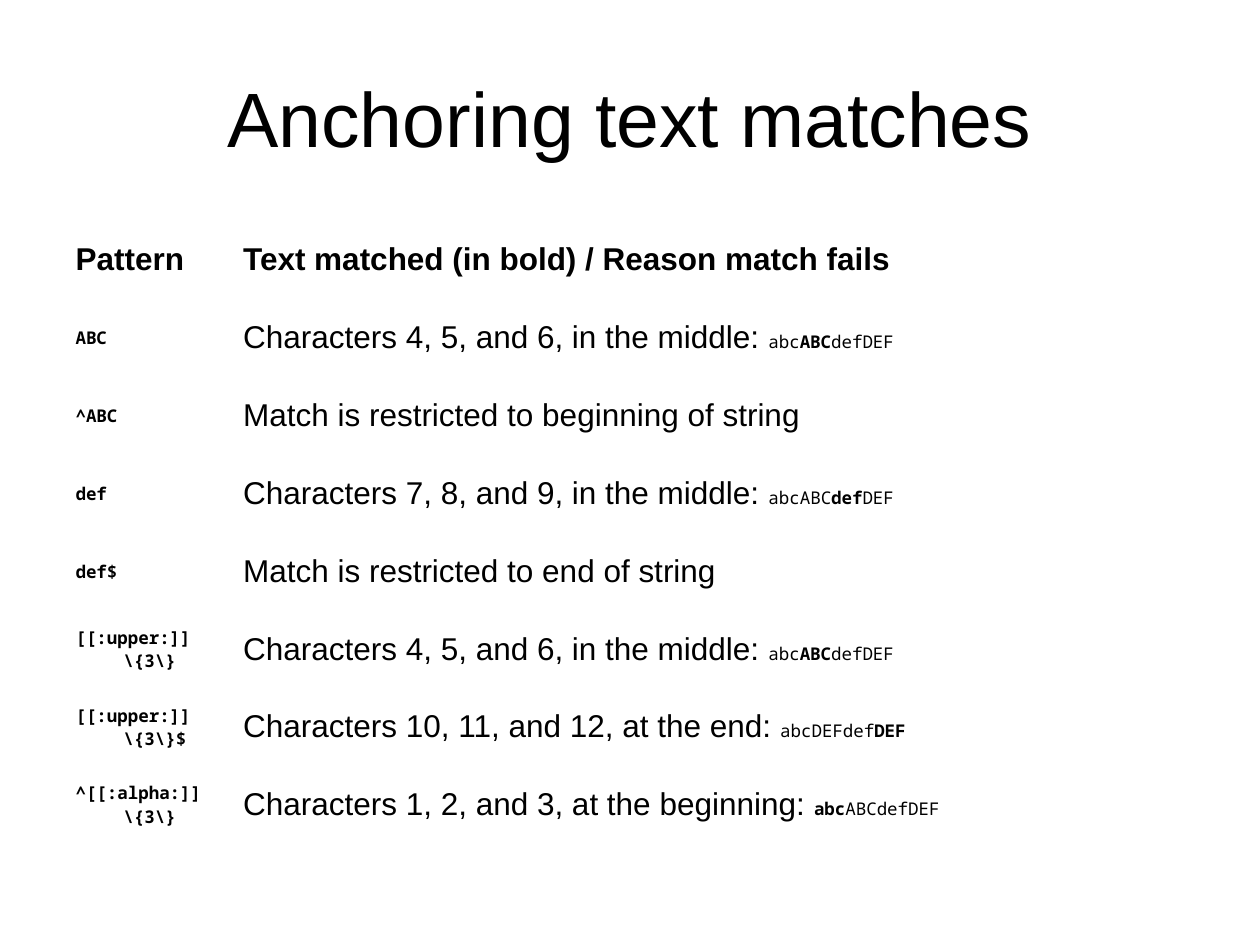
from pptx import Presentation
from pptx.dml.color import RGBColor
from pptx.enum.text import MSO_ANCHOR, PP_ALIGN
from pptx.util import Pt

MIDDLE = MSO_ANCHOR.MIDDLE
CENTER = PP_ALIGN.CENTER
SANS, MONO = "Arial", "Noto Sans Mono"
BLACK = "000000"

TITLE = "Anchoring text matches"
HEADER = ("Pattern", "Text matched (in bold) / Reason match fails")
# pattern, explanation, (text before the match, match, text after it)
ROWS = [
    ("ABC", "Characters 4, 5, and 6, in the middle: ", ("abc", "ABC", "defDEF")),
    ("^ABC", "Match is restricted to beginning of string", None),
    ("def", "Characters 7, 8, and 9, in the middle: ", ("abcABC", "def", "DEF")),
    ("def$", "Match is restricted to end of string", None),
    (r"[[:upper:]]\{3\}", "Characters 4, 5, and 6, in the middle: ", ("abc", "ABC", "defDEF")),
    (r"[[:upper:]]\{3\}$", "Characters 10, 11, and 12, at the end: ", ("abcDEFdef", "DEF", "")),
    (r"^[[:alpha:]]\{3\}", "Characters 1, 2, and 3, at the beginning: ", ("", "abc", "ABCdefDEF")),
]
COL_WIDTHS = (95.76, 442.08)
ROW_HEIGHT = 44.55
HANGING = 27.36


def rgb(value):
    return RGBColor.from_string(value)


def add_text(p, text, size=18, font=SANS, bold=False, color=BLACK):
    r = p.add_run()
    r.text = text
    r.font.size = Pt(size)
    r.font.name = font
    r.font.bold = bold
    r.font.color.rgb = rgb(color)


def open_cell(cell):
    """Clear the cell's fill and return its paragraph with a hanging indent."""
    cell.fill.background()
    cell.vertical_anchor = MIDDLE
    p = cell.text_frame.paragraphs[0]
    pPr = p._p.get_or_add_pPr()
    pPr.set("marL", str(Pt(HANGING)))
    pPr.set("indent", str(-Pt(HANGING)))
    return p


prs = Presentation()
prs.slide_width, prs.slide_height = Pt(720), Pt(540)
s = prs.slides.add_slide(prs.slide_layouts[6])

tf = s.shapes.add_textbox(Pt(36), Pt(21.6), Pt(648), Pt(90)).text_frame
tf.word_wrap = True
tf.vertical_anchor = MIDDLE
p = tf.paragraphs[0]
p.alignment = CENTER
add_text(p, TITLE, size=44)

row_count = len(ROWS) + 1
table = s.shapes.add_table(row_count, len(COL_WIDTHS), Pt(36), Pt(126),
                           Pt(sum(COL_WIDTHS)), Pt(ROW_HEIGHT * row_count)).table
table.first_row = table.horz_banding = False
for column, width in zip(table.columns, COL_WIDTHS):
    column.width = Pt(width)
for row in table.rows:
    row.height = Pt(ROW_HEIGHT)

for col, heading in enumerate(HEADER):
    add_text(open_cell(table.cell(0, col)), heading, bold=True)

for row, (pattern, explanation, sample) in enumerate(ROWS, start=1):
    add_text(open_cell(table.cell(row, 0)), pattern, size=10, font=MONO, bold=True)
    p = open_cell(table.cell(row, 1))
    add_text(p, explanation)
    for i, part in enumerate(sample or ()):
        if part:
            add_text(p, part, size=10, font=MONO, bold=i == 1)

prs.save("out.pptx")
